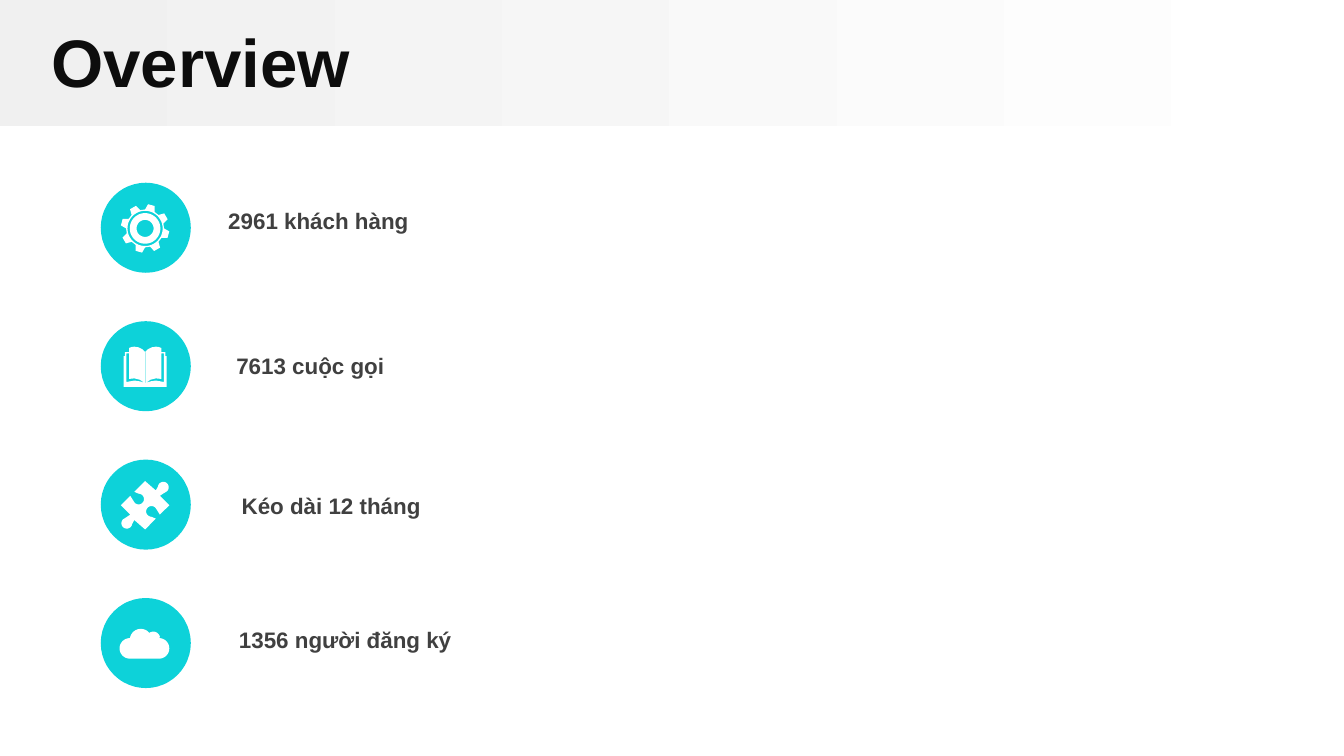
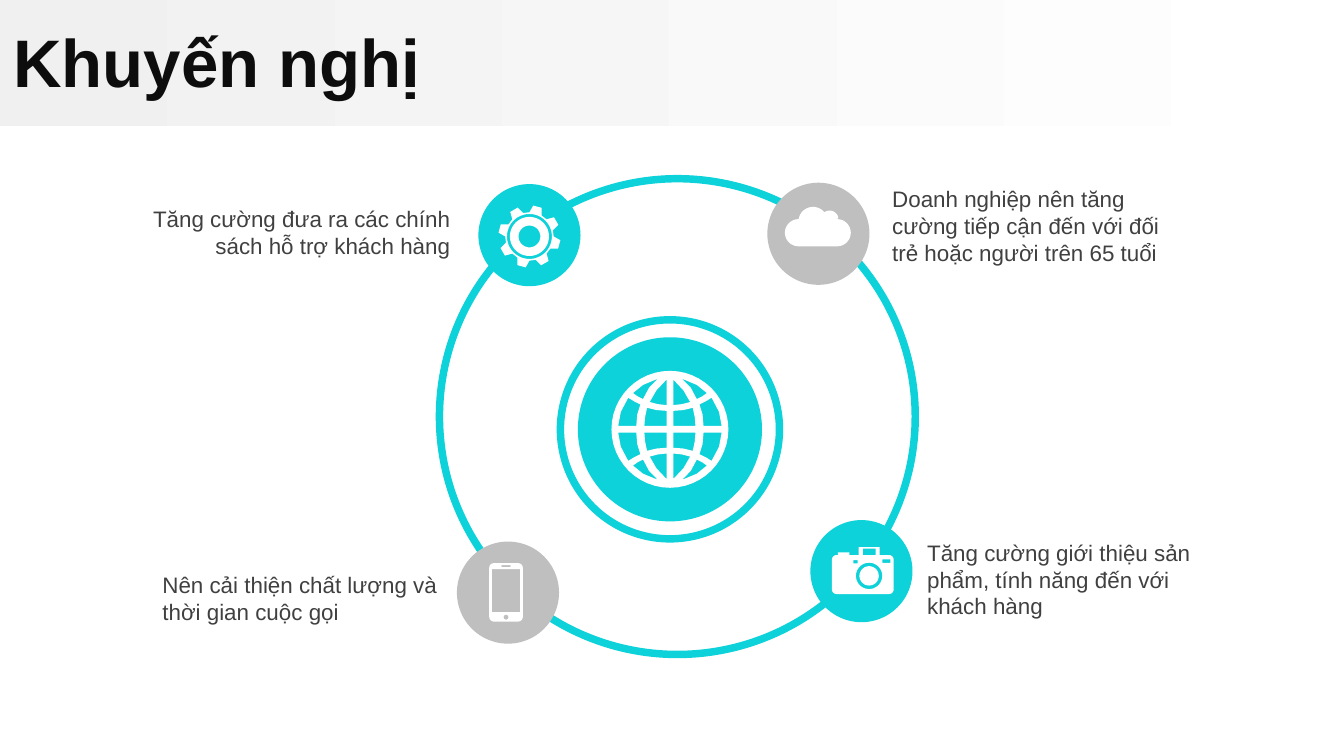
from math import cos, radians, sin

from pptx import Presentation
from pptx import util as u
from pptx.dml.color import RGBColor
from pptx.enum import shapes, text

TEAL, GREY, WHITE = "0DD2D9", "BFBFBF", "FFFFFF"
INK, BODY, BAND = "0D0D0D", "404040", "F0F0F0"
FONT = "Arial"
LEFT, RIGHT = text.PP_ALIGN.LEFT, text.PP_ALIGN.RIGHT


def color(hex_string):
    return RGBColor.from_string(hex_string)


def assign(target, values):
    for name, value in values.items():
        setattr(target, name, value)


# Outlines: an icon is a list of closed contours; overlapping ones cut holes.

def arc(x, y, radius, start, end, steps=24):
    """Points along a circle, with angles clockwise from the right."""
    angles = [radians(start + (end - start) * i / steps) for i in range(steps + 1)]
    return [(x + radius * cos(a), y + radius * sin(a)) for a in angles]


def circle(x, y, radius):
    return arc(x, y, radius, 0, 360, 48)


def rounded(x, y, width, height, radius=0):
    """A rectangle, with rounded corners when a radius is given."""
    right, bottom = x + width, y + height
    if not radius:
        return [(x, y), (right, y), (right, bottom), (x, bottom)]
    corners = [(right - radius, bottom - radius), (x + radius, bottom - radius),
               (x + radius, y + radius), (right - radius, y + radius)]
    return [point for i, (cx, cy) in enumerate(corners)
            for point in arc(cx, cy, radius, 90 * i, 90 * i + 90, 6)]


def gear():
    teeth = [(radius * cos(radians(middle + offset)), radius * sin(radians(middle + offset)))
             for middle in range(-75, 285, 45)
             for offset, radius in ((-15, 14), (-8, 18), (8, 18), (15, 14))]
    return [teeth] + [circle(0, 0, radius) for radius in (13, 11.3, 6.3)]


def cloud():
    return [arc(21, 39, 20.5, 90, 270) + arc(43, 22, 22, 195, 318)
            + arc(68, 19, 13.5, 235, 348) + arc(79.5, 39, 20.5, 270, 450)]


def book():
    half_cover = [(0, 30), (0, 7), (1, 7), (1, 4), (4, 4), (4, 1),
                  (6, 0.2), (8, 0), (11, 0.5), (14, 2), (16, 4)]
    margin = [(2, 5), (4, 5), (4, 24), (8, 23.6), (12, 24.6), (15.6, 27),
              (12, 25.8), (8, 25.2), (2, 26.3)]

    def mirror(points):
        return [(32 - x, y) for x, y in points]

    return [half_cover + mirror(half_cover)[::-1], margin, mirror(margin),
            rounded(15.8, 4, 0.4, 23)]


def puzzle():
    half = ([(18, 0), (26, 7)] + arc(31.6, 4.6, 4, 190, 430)
            + [(29, 11), (36, 18), (29, 25)] + arc(22.8, 22.6, 4, -30, -270)
            + [(26, 28)])
    return [half + [(36 - x, 36 - y) for x, y in half]]


def globe():
    cells = [
        [(2.5, 2.5), (19, 2.5), (18.5, 9), (17, 16), (10, 14.3), (2.5, 13.7)],
        [(2.5, 18), (9, 18.7), (15, 20.3), (10, 29), (2.5, 37)],
        [(25, 2.5), (38.5, 2.5), (36.5, 13), (31, 23.5), (27, 21), (22, 18.5),
         (24.3, 11)],
        [(20, 22.5), (24, 24.5), (27.5, 27), (20, 33), (9, 37.6), (15.5, 31)],
    ]
    return [circle(0, 0, 43.5)] + [
        [(x * across, y * down) for x, y in cell]
        for across in (-1, 1) for down in (-1, 1) for cell in cells]


def camera():
    return [rounded(0, 6, 46, 29, 3.5), rounded(4.5, 4, 8.5, 2),
            rounded(20, 0, 15.5, 6), rounded(23, 1.3, 9.5, 4.7),
            circle(27.7, 21.5, 9.8), circle(27.7, 21.5, 7.2),
            rounded(16, 9.8, 3.2, 2.4), rounded(37.5, 9.2, 6, 2.6)]


def phone():
    return [rounded(0, 0, 25, 43.5, 3.5), rounded(2, 4.5, 21, 32),
            rounded(9, 1.5, 7, 1.4, 0.6), circle(12.5, 40.2, 1.8)]


class Slides:
    """Holds the shared style and the current page; lengths are grid columns."""

    def __init__(self, columns=100):
        self.deck = Presentation()
        assign(self.deck, {"slide_width": u.Inches(10), "slide_height": u.Inches(5.625)})
        self.column = self.deck.slide_width / columns
        self.layout = self.deck.slide_layouts[5]
        self.page = None

    def grid(self, *lengths):
        return [round(length * self.column) for length in lengths]

    def start(self, title, inset):
        first = self.page is None
        self.page = self.deck.slides.add_slide(self.layout)
        if first:
            self.band()
        box = self.page.shapes.title
        assign(box, dict(zip(("left", "top", "width", "height"),
                             self.grid(0, 0.3, 100, 8.5))))
        assign(box.text_frame, {"vertical_anchor": text.MSO_ANCHOR.MIDDLE,
                                "auto_size": text.MSO_AUTO_SIZE.NONE,
                                "margin_left": self.grid(inset)[0]})
        self.put_words(box, title, 36, INK, bold=True)

    def band(self):
        """Put the fading header band on the layout, behind every title."""
        band = self.page.shapes.add_shape(
            shapes.MSO_SHAPE.RECTANGLE, *self.grid(0, 0, 99.6, 9.4))
        band.shadow.inherit = False
        band.line.fill.background()
        band.fill.gradient()
        band.fill.gradient_angle = 0
        for stop, position, shade in zip(band.fill.gradient_stops, (0, 1), (BAND, WHITE)):
            stop.position = position
            stop.color.rgb = color(shade)
        self.layout.shapes.element.insert(2, band.element)

    def put_words(self, box, words, size, shade, bold=False, align=LEFT):
        para = box.text_frame.paragraphs[0]
        para.alignment = align
        span = para.add_run()
        span.text = words
        assign(span.font, {"name": FONT, "size": u.Pt(size), "bold": bold})
        span.font.color.rgb = color(shade)

    def label(self, words, left, top, width, height, **style):
        box = self.page.shapes.add_textbox(*self.grid(left, top, width, height))
        assign(box.text_frame, {"word_wrap": True,
                                "auto_size": text.MSO_AUTO_SIZE.SHAPE_TO_FIT_TEXT})
        self.put_words(box, words, 12, BODY, **style)

    def paint(self, shape, fill, line=None):
        shape.shadow.inherit = False
        shape.fill.solid()
        shape.fill.fore_color.rgb = color(fill)
        if line:
            shape.line.color.rgb = color(line)
            shape.line.width = u.Pt(4)
        else:
            shape.line.fill.background()

    def disc(self, left, top, size, fill=TEAL, line=None):
        shape = self.page.shapes.add_shape(
            shapes.MSO_SHAPE.OVAL, *self.grid(left, top, size, size))
        self.paint(shape, fill, line)

    def icon(self, contours, left, top, width):
        """Scale the contours to the given width and draw them as one outline."""
        points = [point for contour in contours for point in contour]
        first_x, first_y = (min(axis) for axis in zip(*points))
        scale = width / (max(x for x, _ in points) - first_x)
        placed = [[self.grid(left + (x - first_x) * scale, top + (y - first_y) * scale)
                   for x, y in contour] for contour in contours]
        builder = self.page.shapes.build_freeform(*placed[0][0])
        for i, contour in enumerate(placed):
            if i:
                builder.move_to(*contour[0])
            builder.add_line_segments(contour[1:], close=True)
        self.paint(builder.convert_to_shape(), WHITE)


def overview(slides):
    slides.start("Overview", inset=3.8)
    facts = [
        ("2961 khách hàng", 16, 14.9, gear(), 9, 15.2, 3.6),
        ("7613 cuộc gọi", 16.6, 25.7, book(), 9.2, 25.8, 3.2),
        ("Kéo dài 12 tháng", 17, 36.1, puzzle(), 9, 35.8, 3.6),
        ("1356 người đăng ký", 16.8, 46.1, cloud(), 8.9, 46.8, 3.7),
    ]
    for row, (words, left, top, *symbol) in enumerate(facts):
        slides.disc(7.5, 13.6 + 10.3 * row, 6.7)
        slides.icon(*symbol)
        slides.label(words, left, top, 31, 3, bold=True)


def recommendations(slides):
    slides.start("Khuyến nghị", inset=1)
    slides.disc(32.7, 13.3, 35.4, WHITE, TEAL)
    slides.disc(41.7, 23.8, 16.3, WHITE, TEAL)
    slides.disc(43, 25.1, 13.7)
    slides.icon(globe(), 45.5, 27.6, 8.7)
    advice = [
        ("Tăng cường đưa ra các chính sách hỗ trợ khách hàng",
         (9.6, 14.8, 24.9, 5), RIGHT, (35.6, 13.7), TEAL, (gear(), 37.1, 15.3, 4.6)),
        ("Nên cải thiện chất lượng và thời gian cuộc gọi",
         (11.1, 42, 22.9, 5), LEFT, (34, 40.3), GREY, (phone(), 36.4, 41.9, 2.5)),
        ("Doanh nghiệp nên tăng cường tiếp cận đến với đối trẻ hoặc người trên 65 tuổi",
         (65.4, 13.3, 22.9, 7.1), LEFT, (57.1, 13.6), GREY, (cloud(), 58.4, 15.4, 4.9)),
        ("Tăng cường giới thiệu sản phẩm, tính năng đến với khách hàng",
         (68, 39.6, 22.9, 7.1), LEFT, (60.3, 38.7), TEAL, (camera(), 61.9, 40.7, 4.6)),
    ]
    for words, place, align, corner, fill, symbol in advice:
        slides.disc(*corner, 7.6, fill)
        slides.icon(*symbol)
        slides.label(words, *place, align=align)


def main():
    slides = Slides()
    overview(slides)
    recommendations(slides)
    slides.deck.save("out.pptx")


if __name__ == "__main__":
    main()
